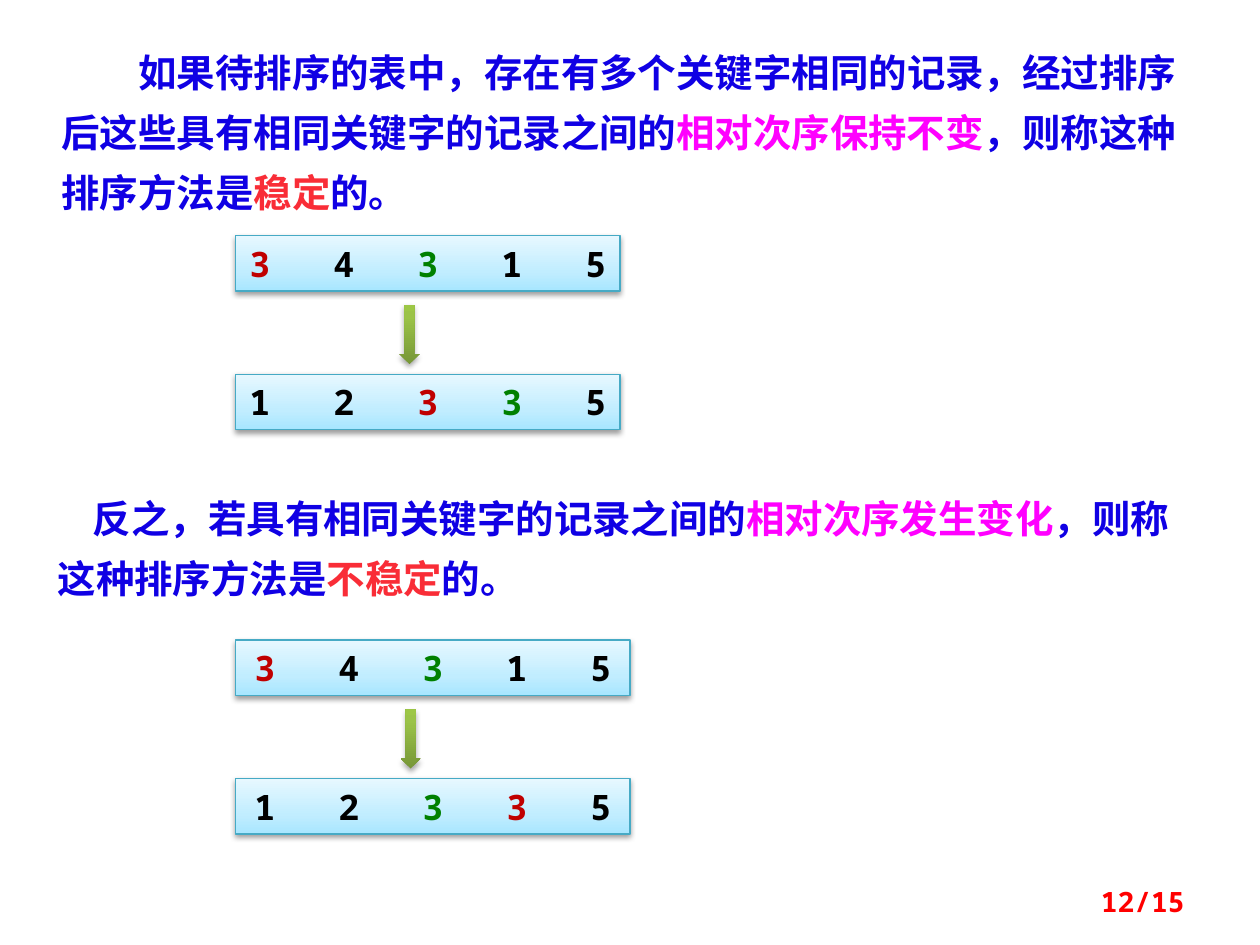
from copy import deepcopy

from lxml.etree import SubElement
from pptx import Presentation
from pptx.dml.color import RGBColor
from pptx.enum.shapes import MSO_SHAPE as Preset
from pptx.enum.text import MSO_ANCHOR as Anchor, MSO_AUTO_SIZE as AutoSize, PP_ALIGN as Align
from pptx.oxml.ns import qn
from pptx.util import Inches, Pt

FONT = "Noto Sans Mono"
BLUE = RGBColor(0x10, 0x00, 0xE4)
MAGENTA = RGBColor(0xFF, 0x00, 0xFF)
CORAL = RGBColor(0xF9, 0x2D, 0x37)
RED = RGBColor(0xFF, 0x00, 0x00)
CRIMSON = RGBColor(0xC0, 0x00, 0x00)
GREEN = RGBColor(0x00, 0x80, 0x00)
BLACK = RGBColor(0x00, 0x00, 0x00)
BORDER = RGBColor(0x46, 0xAA, 0xC5)
ROW_STOPS = [(0, RGBColor(0xA7, 0xE6, 0xFF)), (0.35, RGBColor(0xC1, 0xED, 0xFF)),
             (1, RGBColor(0xE7, 0xF8, 0xFF))]
ARROW_STOPS = [(0, RGBColor(0x77, 0x97, 0x37)), (0.8, RGBColor(0x9B, 0xC3, 0x48)),
               (1, RGBColor(0x9D, 0xC7, 0x46))]

DEFINITIONS = [
    ((0.39, 0.23, 9.17, 1.49), 0.61, [
        ("如果待排序的表中，存在有多个关键字相同的记录，经过排序后这些具有相同关键字的记录之间的", BLUE),
        ("相对次序保持不变", MAGENTA), ("，则称这种排序方法是", BLUE),
        ("稳定", CORAL), ("的。", BLUE)]),
    ((0.36, 3.77, 9.17, 1.06), 0.28, [
        ("反之，若具有相同关键字的记录之间的", BLUE),
        ("相对次序发生变化", MAGENTA), ("，则称这种排序方法是", BLUE),
        ("不稳定", CORAL), ("的。", BLUE)]),
]

UNSORTED = [("3", CRIMSON), ("4", BLACK), ("3", GREEN), ("1", BLACK), ("5", BLACK)]
STABLE = [("1", BLACK), ("2", BLACK), ("3", CRIMSON), ("3", GREEN), ("5", BLACK)]
UNSTABLE = [("1", BLACK), ("2", BLACK), ("3", GREEN), ("3", CRIMSON), ("5", BLACK)]
EXAMPLES = [(1.87, 3.05, 3.17, STABLE), (5.08, 3.13, 3.18, UNSTABLE)]

ROW_LEFT, ROW_HEIGHT, ROW_PITCH = 1.87, 0.44, 1.1
ARROW_DROP, ARROW_WIDTH, ARROW_HEIGHT = 0.55, 0.16, 0.47
DIGIT_WIDTH = 20 * 0.6 / 72
DIGIT_PITCH = 4 * DIGIT_WIDTH


def add_spans(para, spans, size):
    for text, color in spans:
        span = para.add_run()
        span.text = text
        span.font.size = Pt(size)
        span.font.bold = True
        span.font.name = FONT
        span.font.color.rgb = color
        SubElement(span.font._element, qn("a:ea"), typeface=FONT)


def add_text(page, place, spans, size):
    box = page.shapes.add_textbox(*map(Inches, place))
    box.text_frame.word_wrap = True
    para = box.text_frame.paragraphs[0]
    add_spans(para, spans, size)
    return box.text_frame, para


def add_glossy(shapes, preset, place, stops, opacity, distance):
    shape = shapes.add_shape(preset, *map(Inches, place))
    shape.fill.gradient()
    shape.fill.gradient_angle = 90
    properties = shape._element.spPr
    stop_list = properties.find(".//" + qn("a:gsLst"))
    stop_list.insert(1, deepcopy(stop_list[0]))
    for stop, (position, color) in zip(shape.fill.gradient_stops, stops):
        stop.position = position
        stop.color.rgb = color
    shape.line.fill.background()
    shape.shadow.inherit = False
    shadow = SubElement(properties.find(qn("a:effectLst")), qn("a:outerShdw"),
                        blurRad=str(Pt(3.1)), dist=str(Pt(distance)),
                        dir="5400000", rotWithShape="0")
    tint = SubElement(shadow, qn("a:srgbClr"), val="000000")
    SubElement(tint, qn("a:alpha"), val=str(opacity * 1000))
    return shape


def add_row(shapes, top, width, digits):
    row = add_glossy(shapes, Preset.RECTANGLE, (ROW_LEFT, top, width, ROW_HEIGHT),
                     ROW_STOPS, 38, 1.6)
    row.line.color.rgb = BORDER
    row.line.width = Pt(0.75)
    frame = row.text_frame
    content = (len(digits) - 1) * DIGIT_PITCH + DIGIT_WIDTH
    frame.margin_left = Inches((width - content) / 2)
    frame.margin_right = 0
    para = frame.paragraphs[0]
    para.alignment = Align.LEFT
    tabs = SubElement(para._p.get_or_add_pPr(), qn("a:tabLst"))
    for index in range(1, len(digits)):
        SubElement(tabs, qn("a:tab"), pos=str(Inches(index * DIGIT_PITCH)), algn="l")
    add_spans(para, [("\t" * (index > 0) + digit, color)
                     for index, (digit, color) in enumerate(digits)], 20)


def main():
    deck = Presentation()
    deck.slide_width, deck.slide_height = Inches(10), Inches(7.5)
    page = deck.slides.add_slide(deck.slide_layouts[6])

    for place, indent, spans in DEFINITIONS:
        frame, para = add_text(page, place, spans, 22)
        frame.auto_size = AutoSize.SHAPE_TO_FIT_TEXT
        para.line_spacing = 1.3
        para._p.get_or_add_pPr().set("indent", str(Inches(indent)))

    for top, width, arrow_left, result in EXAMPLES:
        shapes = page.shapes.add_group_shape().shapes
        add_row(shapes, top, width, UNSORTED)
        add_row(shapes, top + ROW_PITCH, width, result)
        add_glossy(shapes, Preset.DOWN_ARROW,
                   (arrow_left, top + ARROW_DROP, ARROW_WIDTH, ARROW_HEIGHT),
                   ARROW_STOPS, 35, 1.8)

    frame, para = add_text(page, (7.17, 6.95, 2.33, 0.4), [("12/15", RED)], 16)
    frame.vertical_anchor = Anchor.MIDDLE
    para.alignment = Align.RIGHT

    deck.save("out.pptx")


if __name__ == "__main__":
    main()
